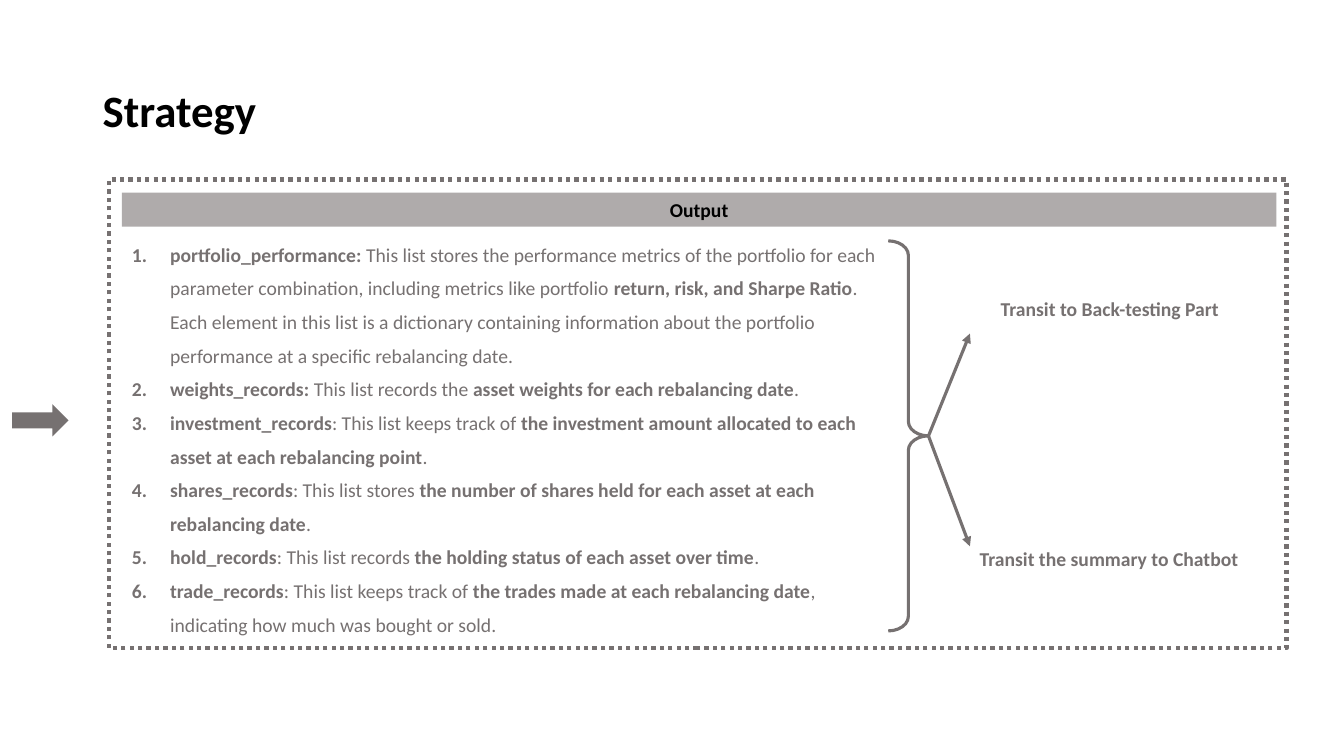
from dataclasses import dataclass

from lxml.etree import SubElement
from pptx import Presentation
from pptx.dml.color import RGBColor
from pptx.enum.dml import MSO_LINE_DASH_STYLE as Dash
from pptx.enum.shapes import MSO_CONNECTOR as Connector, MSO_SHAPE as Shape
from pptx.enum.text import MSO_ANCHOR as Anchor, PP_ALIGN as Align
from pptx.oxml.ns import qn
from pptx.util import Inches, Pt


@dataclass(frozen=True)
class Theme:
    font: str = "Calibri"
    ink: RGBColor = RGBColor(0, 0, 0)
    gray: RGBColor = RGBColor(0x76, 0x71, 0x71)
    band: RGBColor = RGBColor(0xAF, 0xAB, 0xAB)
    title_size: Pt = Pt(32)
    body_size: Pt = Pt(14)
    body_leading: Pt = Pt(24)
    frame_line: Pt = Pt(3)
    flow_line: Pt = Pt(2.25)


@dataclass(frozen=True)
class Box:
    left: int
    top: int
    width: int
    height: int

    def point(self, x, y):
        """Position at x and y percent of this box."""
        return (int(self.left + self.width * x / 100),
                int(self.top + self.height * y / 100))

    def inner(self, x, y, width, height):
        """Inner box, all four lengths in percent of this one."""
        return Box(*self.point(x, y), int(self.width * width / 100),
                   int(self.height * height / 100))

    @property
    def place(self):
        return self.left, self.top, self.width, self.height


THEME = Theme()
HANGING = Inches(0.38)

# Each record alternates bold and regular spans, starting with bold.
RECORDS = [
    ("portfolio_performance: ",
     "This list stores the performance metrics of the portfolio for each parameter "
     "combination, including metrics like portfolio ",
     "return, risk, and Sharpe Ratio",
     ". Each element in this list is a dictionary containing information about the "
     "portfolio performance at a specific rebalancing date."),
    ("weights_records: ", "This list records the ",
     "asset weights for each rebalancing date", "."),
    ("investment_records", ": This list keeps track of ",
     "the investment amount allocated to each asset at each rebalancing point", "."),
    ("shares_records", ": This list stores ",
     "the number of shares held for each asset at each rebalancing date", "."),
    ("hold_records", ": This list records ",
     "the holding status of each asset over time", "."),
    ("trade_records", ": This list keeps track of ",
     "the trades made at each rebalancing date",
     ", indicating how much was bought or sold."),
]


def style(span, color, size=THEME.body_size, bold=True):
    font = span.font
    font.name, font.size, font.bold = THEME.font, size, bold
    font.color.rgb = color


def write(shape, text, color, size=THEME.body_size, align=Align.LEFT,
          anchor=Anchor.TOP, wrap=True):
    frame = shape.text_frame
    frame.text = text
    frame.word_wrap, frame.vertical_anchor = wrap, anchor
    para = frame.paragraphs[0]
    para.alignment = align
    style(para.runs[0], color, size)
    return para


def add_shape(page, kind, box, fill=None, line=None):
    shape = page.shapes.add_shape(kind, *box.place)
    shape.shadow.inherit = False
    if fill is None:
        shape.fill.background()
    else:
        shape.fill.solid()
        shape.fill.fore_color.rgb = fill
    if line is None:
        shape.line.fill.background()
    else:
        shape.line.color.rgb, shape.line.width = THEME.gray, line
    return shape


def add_arrow(page, start, end):
    arrow = page.shapes.add_connector(Connector.STRAIGHT, *start, *end)
    arrow.line.color.rgb, arrow.line.width = THEME.gray, THEME.flow_line
    props = arrow._element.spPr
    SubElement(props.find(qn("a:ln")), qn("a:tailEnd"), type="triangle")
    SubElement(props, qn("a:effectLst"))


def add_title(page, box):
    title = page.shapes.add_textbox(*box.place)
    para = write(title, "Strategy", THEME.ink, THEME.title_size, anchor=Anchor.MIDDLE)
    para.line_spacing = 0.9


def add_records(page, box):
    frame = page.shapes.add_textbox(*box.place).text_frame
    frame.word_wrap = True
    for index, record in enumerate(RECORDS):
        para = frame.add_paragraph() if index else frame.paragraphs[0]
        para.line_spacing = THEME.body_leading
        props = para._p.get_or_add_pPr()
        props.set("marL", str(HANGING))
        props.set("indent", str(-HANGING))
        SubElement(props, qn("a:buFont"), typeface="+mj-lt")
        SubElement(props, qn("a:buAutoNum"), type="arabicPeriod")
        for position, text in enumerate(record):
            span = para.add_run()
            span.text = text
            style(span, THEME.gray, bold=position % 2 == 0)


def add_destinations(page, box):
    """Brace around the records, with an arrow to each next step."""
    brace_box = box.inner(66.18, 13.12, 3.42, 83.23)
    brace = add_shape(page, Shape.RIGHT_BRACE, brace_box, line=THEME.flow_line)
    brace.adjustments[0], brace.adjustments[1] = 0.36, 0.5
    steps = [
        ("Transit to Back-testing Part", 32.9, 24.09, Align.CENTER, True),
        ("Transit the summary to Chatbot", 78.28, 77.42, Align.LEFT, False),
    ]
    for text, arrow_end, label_top, align, wrap in steps:
        add_arrow(page, brace_box.point(100, 50), box.point(73.12, arrow_end))
        label = page.shapes.add_textbox(*box.inner(73.1, label_top, 23.8, 7.31).place)
        write(label, text, THEME.gray, align=align, wrap=wrap)


def add_output_panel(page, box):
    header = add_shape(page, Shape.RECTANGLE, box.inner(1.11, 2.8, 98.03, 7.31),
                       fill=THEME.band)
    write(header, "Output", THEME.ink, align=Align.CENTER, anchor=Anchor.MIDDLE)
    add_records(page, box.inner(1.11, 10.32, 65.67, 88.17))
    frame = add_shape(page, Shape.RECTANGLE, box, line=THEME.frame_line)
    frame.line.dash_style = Dash.ROUND_DOT
    add_destinations(page, box)


def main():
    deck = Presentation()
    deck.slide_width, deck.slide_height = Inches(13.33), Inches(7.5)
    page = deck.slides.add_slide(deck.slide_layouts[6])
    canvas = Box(0, 0, deck.slide_width, deck.slide_height)
    add_title(page, canvas.inner(6.9, 5.33, 86.27, 19.33))
    add_output_panel(page, canvas.inner(8.1, 23.73, 87.62, 62))
    add_shape(page, Shape.RIGHT_ARROW, canvas.inner(0.9, 53.47, 4.2, 4.27),
              fill=THEME.gray)
    deck.save("out.pptx")


if __name__ == "__main__":
    main()
